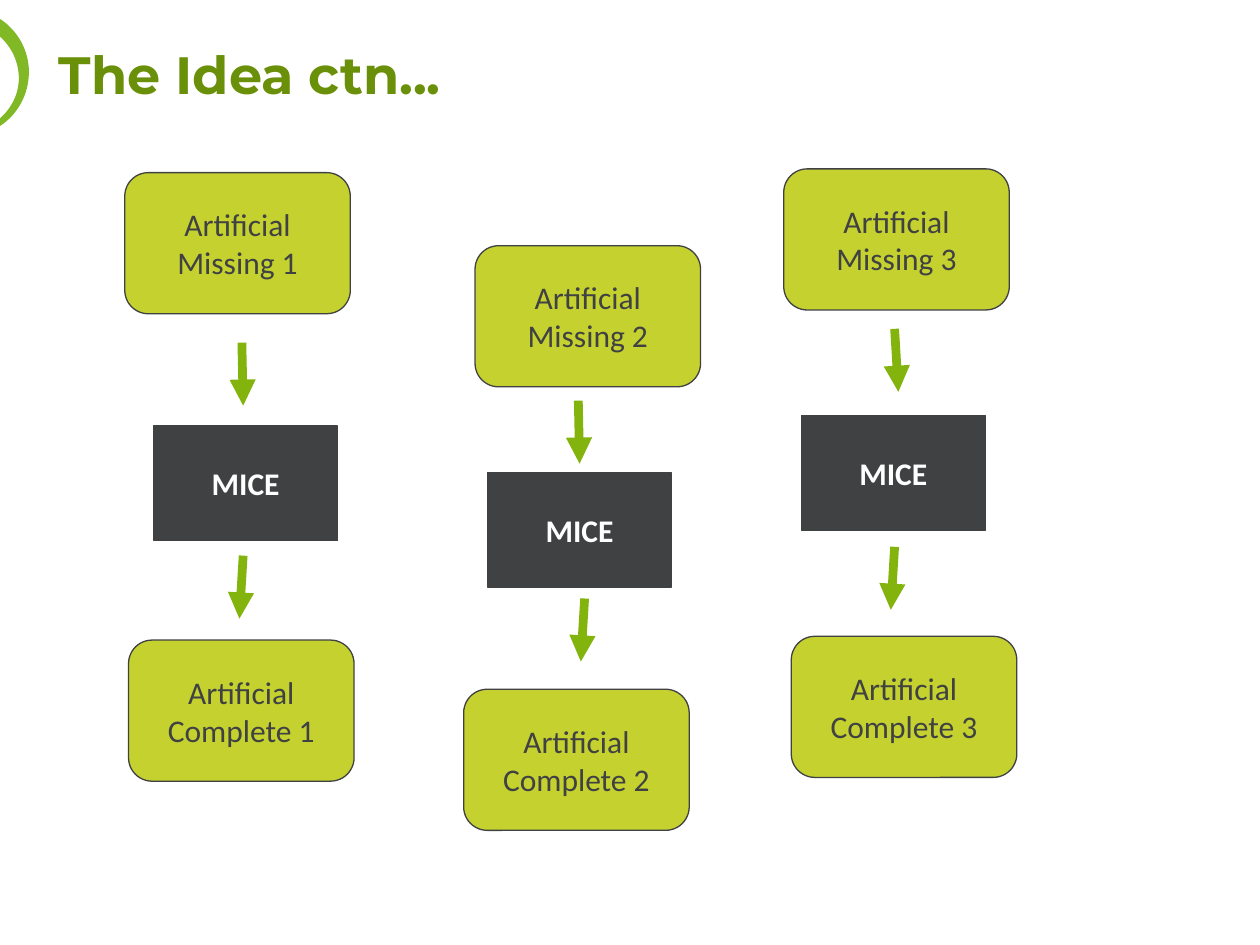
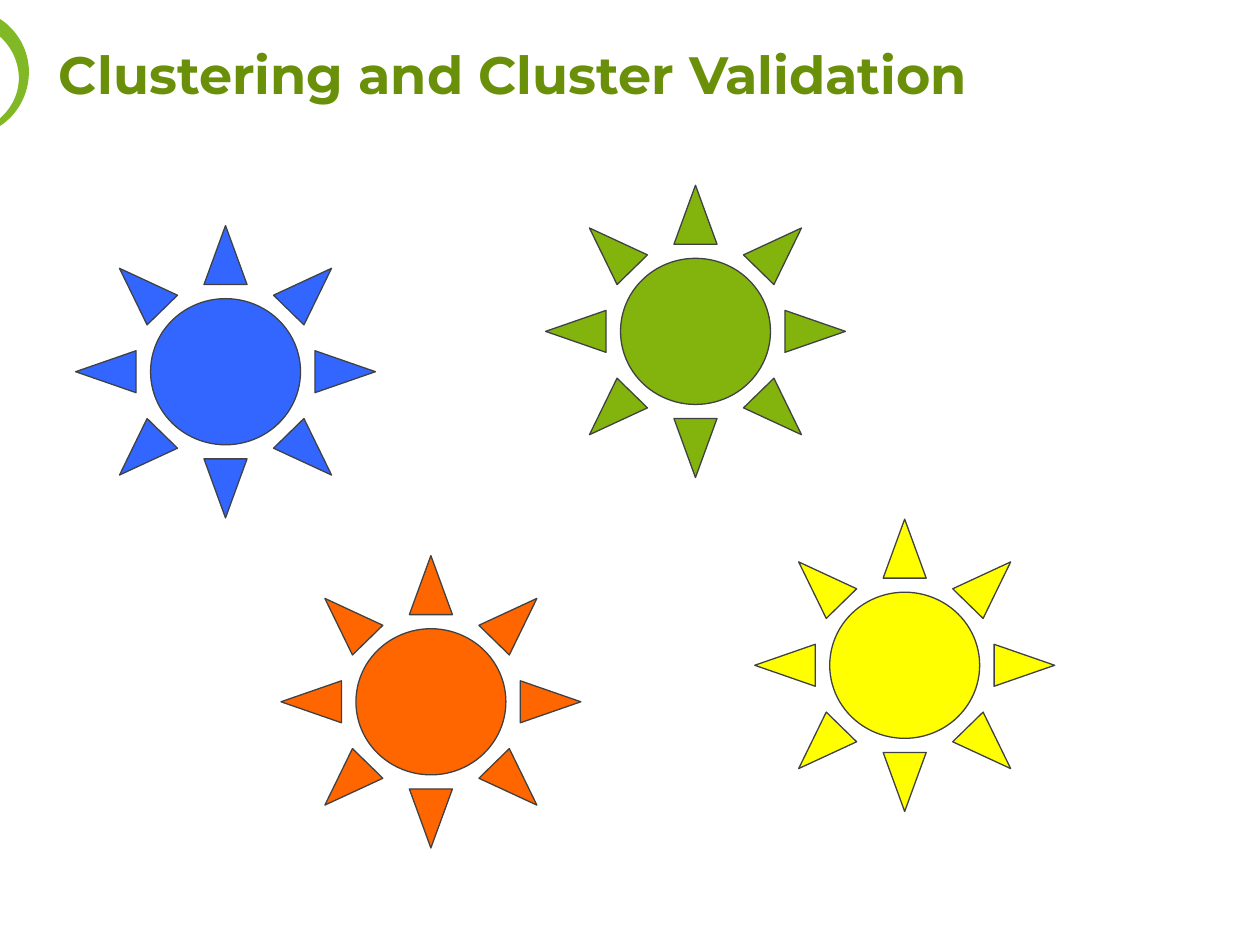
import pptx
import pptx.util
import pptx.dml.color
import pptx.enum.shapes
import pptx.enum.text
import pptx.oxml
import pptx.oxml.ns
from collections import namedtuple

Inches = pptx.util.Inches
Pt = pptx.util.Pt
RGBColor = pptx.dml.color.RGBColor
Shapes = pptx.enum.shapes.MSO_SHAPE
Anchor = pptx.enum.text.MSO_ANCHOR
Align = pptx.enum.text.PP_ALIGN

RING_GREEN = RGBColor(0x80, 0xB8, 0x26)
TITLE_GREEN = RGBColor(0x6A, 0x90, 0x0A)
GREEN = RGBColor(0x83, 0xB4, 0x0D)
LIME = RGBColor(0xC5, 0xD1, 0x2F)
DARK = RGBColor(0x3F, 0x41, 0x43)
WHITE = RGBColor(0xFF, 0xFF, 0xFF)
BLUE = RGBColor(0x33, 0x66, 0xFF)
ORANGE = RGBColor(0xFF, 0x66, 0x00)
YELLOW = RGBColor(0xFF, 0xFF, 0x00)

TITLE_FONT = "Montserrat"
BODY_FONT = "Calibri"
DATA_SIZE = (1.79, 1.12)
METHOD_SIZE = (1.46, 0.91)
SUN_SIZE = (2.38, 2.32)
ARROW_DROP = 0.5

OUTER_ARC = [
    [(0, 0.15), (0.14, 0.24), (0.23, 0.4), (0.23, 0.57)],
    [(0.23, 0.57), (0.23, 0.75), (0.14, 0.91), (0, 1)],
]
INNER_ARC = [
    [(0, 0.94), (0.09, 0.86), (0.15, 0.75), (0.15, 0.62)],
    [(0.15, 0.62), (0.15, 0.49), (0.09, 0.37), (0, 0.29)],
]

Column = namedtuple("Column", "origin method complete arrow_in lean_in arrow_out")
COLUMNS = [
    Column((0.99, 1.37), (0.23, 2.01), (0.03, 3.71), (0.93, 1.35), 0.01, (0.94, 3.04)),
    Column((3.77, 1.95), (0.1, 1.8), (-0.09, 3.52), (0.82, 1.23), 0.01, (0.87, 2.8)),
    Column((6.22, 1.34), (0.14, 1.96), (0.06, 3.71), (0.88, 1.27), 0.03, (0.88, 3)),
]
LEAN_OUT = -0.03

SUNS = [
    ((0.6, 1.79), BLUE),
    ((2.23, 4.41), ORANGE),
    ((5.99, 4.12), YELLOW),
    ((4.33, 1.47), GREEN),
]


def curve_points(curves, steps=16):
    for start, first, second, end in curves:
        for step in range(steps + 1):
            t = step / steps
            weights = ((1 - t) ** 3, 3 * t * (1 - t) ** 2, 3 * t * t * (1 - t), t ** 3)
            yield tuple(
                Inches(sum(weight * value for weight, value in zip(weights, axis)))
                for axis in zip(start, first, second, end)
            )


def add_ring(page):
    points = list(curve_points(OUTER_ARC)) + list(curve_points(INNER_ARC))
    builder = page.shapes.build_freeform(*points[0], scale=1.0)
    builder.add_line_segments(points[1:], close=True)
    ring = builder.convert_to_shape()
    ring.shadow.inherit = False
    ring.fill.solid()
    ring.fill.fore_color.rgb = RING_GREEN
    ring.line.fill.background()


def add_title(page, text):
    box = page.shapes.add_textbox(Inches(0.37), Inches(0.12), Inches(8.54), Inches(0.77))
    box.text_frame.word_wrap = True
    box.text_frame.vertical_anchor = Anchor.BOTTOM
    para = box.text_frame.paragraphs[0]
    para.text = text
    para.line_spacing = 0.9
    para.font.name = TITLE_FONT
    para.font.size = Pt(30)
    para.font.bold = True
    para.font.color.rgb = TITLE_GREEN


def add_page(deck, title):
    page = deck.slides.add_slide(deck.slide_layouts[6])
    add_ring(page)
    add_title(page, title)
    return page


def add_figure(page, kind, position, size, fill):
    figure = page.shapes.add_shape(kind, *map(Inches, position + size))
    figure.shadow.inherit = False
    figure.fill.solid()
    figure.fill.fore_color.rgb = fill
    figure.line.color.rgb = DARK
    figure.line.width = Pt(0.75)
    return figure


def write_label(figure, lines, color, bold=False):
    frame = figure.text_frame
    frame.word_wrap = False
    frame.vertical_anchor = Anchor.MIDDLE
    for index, line in enumerate(lines):
        para = frame.add_paragraph() if index else frame.paragraphs[0]
        para.text = line
        para.alignment = Align.CENTER
        para.font.name = BODY_FONT
        para.font.size = Pt(18)
        para.font.bold = bold
        para.font.color.rgb = color


def add_data_box(page, position, lines):
    figure = add_figure(page, Shapes.FLOWCHART_ALTERNATE_PROCESS, position, DATA_SIZE, LIME)
    write_label(figure, lines, DARK)


def add_method_box(page, position):
    figure = add_figure(page, Shapes.FLOWCHART_PROCESS, position, METHOD_SIZE, DARK)
    write_label(figure, ["MICE"], WHITE, bold=True)


def add_arrow(page, start, lean):
    left, top = start
    arrow = page.shapes.add_connector(
        pptx.enum.shapes.MSO_CONNECTOR.STRAIGHT,
        Inches(left), Inches(top), Inches(left + lean), Inches(top + ARROW_DROP),
    )
    arrow.line.color.rgb = GREEN
    arrow.line.width = Pt(5)
    line = arrow.line._get_or_add_ln()
    pptx.oxml.ns.qn("a:tailEnd")
    head = pptx.oxml.parse_xml(
        f'<a:tailEnd {pptx.oxml.ns.nsdecls("a")} type="triangle"/>'
    )
    line.append(head)
    arrow._element.spPr.append(
        pptx.oxml.parse_xml(f'<a:effectLst {pptx.oxml.ns.nsdecls("a")}/>')
    )


def add_imputation_column(page, number, column):
    def place(offset):
        return tuple(base + shift for base, shift in zip(column.origin, offset))

    add_data_box(page, column.origin, ["Artificial", f"Missing {number}"])
    add_arrow(page, place(column.arrow_in), column.lean_in)
    add_method_box(page, place(column.method))
    add_arrow(page, place(column.arrow_out), LEAN_OUT)
    add_data_box(page, place(column.complete), ["Artificial", f"Complete {number}"])


def build_idea_page(deck):
    page = add_page(deck, "The Idea ctn...")
    for number, column in enumerate(COLUMNS, start=1):
        add_imputation_column(page, number, column)


def build_cluster_page(deck):
    page = add_page(deck, "Clustering and Cluster Validation")
    for position, color in SUNS:
        add_figure(page, Shapes.SUN, position, SUN_SIZE, color)


def main():
    deck = pptx.Presentation()
    deck.slide_width = Inches(10)
    deck.slide_height = Inches(7.5)
    build_idea_page(deck)
    build_cluster_page(deck)
    deck.save("out.pptx")


if __name__ == "__main__":
    main()
